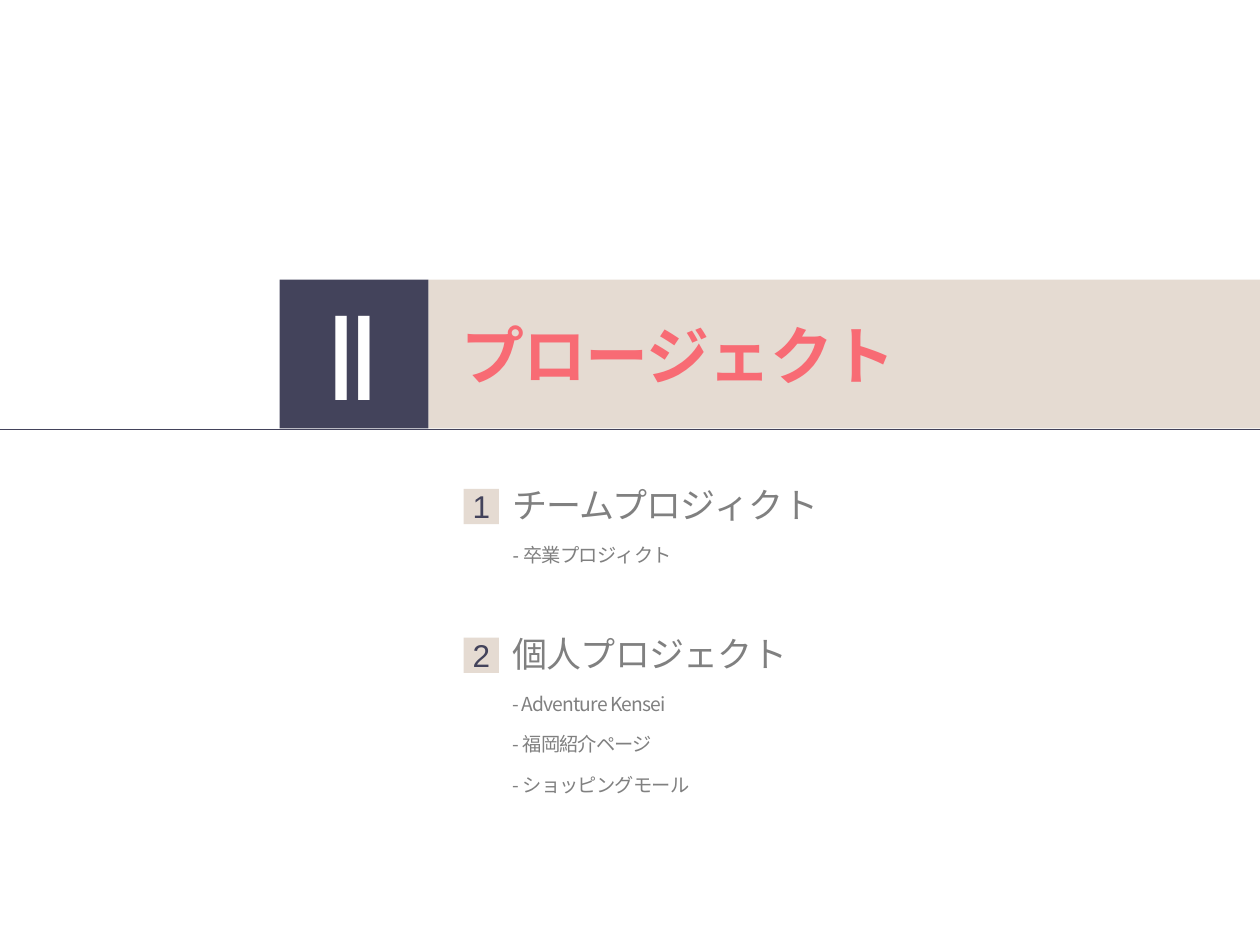
import pptx
import pptx.util
import pptx.dml.color
import pptx.enum.shapes
import pptx.enum.text
import pptx.oxml
import pptx.oxml.ns
from dataclasses import dataclass

# Content
NUMERAL = "Ⅱ"
TITLE = "プロージェクト"
SECTIONS = [
    ("1", "チームプロジィクト", ["- 卒業プロジィクト"]),
    ("2", "個人プロジェクト",
     ["- Adventure Kensei", "- 福岡紹介ページ", "- ショッピングモール"]),
]


@dataclass(frozen=True)
class Theme:
    navy: str = "43435B"
    sand: str = "E5DBD2"
    coral: str = "F86B74"
    grey: str = "808080"
    white: str = "FFFFFF"
    latin: str = "Arial"
    cjk: str = "Noto Sans CJK JP"
    numeral: int = 66
    title: int = 36
    heading: int = 20
    badge: int = 18
    item: int = 11


T = Theme()
In, Pt = pptx.util.Inches, pptx.util.Pt
MIDDLE = pptx.enum.text.MSO_ANCHOR.MIDDLE
CENTER = pptx.enum.text.PP_ALIGN.CENTER

# Layout, in inches
W, H = 10, 7.5
BAND_X, BAND_Y, BAND = 2.22, 2.22, 1.18
RULE_Y = 3.41
BADGE_X, BADGE = 3.68, 0.28
SECTION_Y, SECTION_STEP = 3.79, 1.18
LIST_W, HEAD_H, ITEM_H = 3.93, 0.43, 0.325

prs = pptx.Presentation()
prs.slide_width, prs.slide_height = In(W), In(H)
s = prs.slides.add_slide(prs.slide_layouts[5])


def rgb(value):
    return pptx.dml.color.RGBColor.from_string(value)


def add_run(p, text, size, color, latin=T.latin, cjk=T.cjk, bold=False):
    r = p.add_run()
    r.text = text
    f = r.font
    f.size, f.bold, f.name = Pt(size), bold, latin
    f.color.rgb = rgb(color)
    rPr = r._r.get_or_add_rPr()
    rPr.set("spc", "-50")
    ea = pptx.oxml.parse_xml(
        f'<a:ea {pptx.oxml.ns.nsdecls("a")} typeface="{cjk}"/>')
    rPr.find(pptx.oxml.ns.qn("a:latin")).addnext(ea)


def add_rect(x, y, w, h, color):
    sp = s.shapes.add_shape(pptx.enum.shapes.MSO_SHAPE.RECTANGLE,
                            In(x), In(y), In(w), In(h))
    sp.shadow.inherit = False
    sp.fill.solid()
    sp.fill.fore_color.rgb = rgb(color)
    sp.line.fill.background()
    return sp


def center_text(sp, text, size, color, cjk=T.cjk):
    tf = sp.text_frame
    tf.word_wrap = False
    tf.vertical_anchor = MIDDLE
    tf.margin_left = tf.margin_right = tf.margin_top = In(0.04)
    tf.margin_bottom = In(0.05)
    p = tf.paragraphs[0]
    p.alignment, p.space_after = CENTER, Pt(10)
    add_run(p, text, size, color, cjk=cjk)


# Rule and title band
rule = s.shapes.add_connector(pptx.enum.shapes.MSO_CONNECTOR.STRAIGHT,
                              0, In(RULE_Y), In(W), In(RULE_Y))
rule.line.color.rgb = rgb(T.navy)
rule.line.width = Pt(0.5)
rule._element.spPr.append(pptx.oxml.parse_xml(
    f'<a:effectLst {pptx.oxml.ns.nsdecls("a")}/>'))
add_rect(BAND_X + BAND, BAND_Y, W - BAND_X - BAND, BAND, T.sand)
add_rect(BAND_X, BAND_Y, BAND, BAND, T.navy)

# Title, moved above the band in the drawing order
title = s.shapes.title
title.left, title.top, title.width, title.height = map(In, (3.56, 2.28, 6.34, 1.14))
s.shapes._spTree.append(title._element)
tf = title.text_frame
tf.word_wrap, tf.vertical_anchor = False, MIDDLE
tf.auto_size = pptx.enum.text.MSO_AUTO_SIZE.NONE
p = tf.paragraphs[0]
p.alignment, p.line_spacing = pptx.enum.text.PP_ALIGN.LEFT, 0.9
add_run(p, TITLE, T.title, T.coral, bold=True)

# Section numeral
numeral = s.shapes.add_textbox(In(2.29), In(2.39), In(1.03), In(0.85))
center_text(numeral, NUMERAL, T.numeral, T.white, cjk=T.latin)

# Numbered sections
for i, (number, heading, items) in enumerate(SECTIONS):
    y = SECTION_Y + i * SECTION_STEP
    box = s.shapes.add_textbox(In(BADGE_X + BADGE + 0.01), In(y), In(LIST_W),
                               In(HEAD_H + ITEM_H * len(items)))
    tf = box.text_frame
    tf.word_wrap = True
    tf.auto_size = pptx.enum.text.MSO_AUTO_SIZE.SHAPE_TO_FIT_TEXT
    p = tf.paragraphs[0]
    p.space_after = Pt(10)
    add_run(p, heading, T.heading, T.grey)
    for item in items:
        p = tf.add_paragraph()
        p.space_after = Pt(10)
        add_run(p, item, T.item, T.grey, latin=T.cjk if len(items) > 1 else T.latin)
    badge = add_rect(BADGE_X, y + 0.09, BADGE, BADGE, T.sand)
    center_text(badge, number, T.badge, T.navy)

prs.save("out.pptx")
